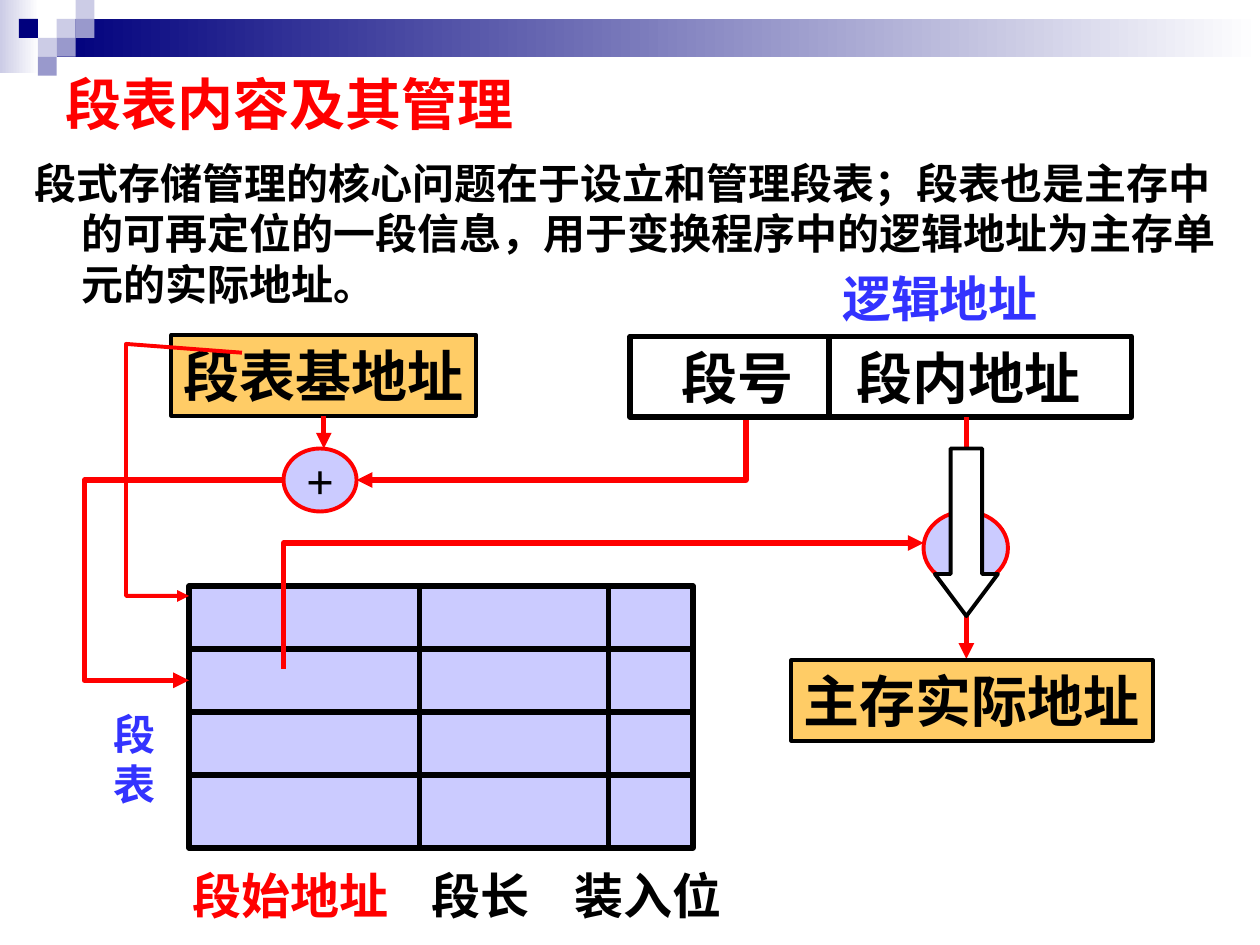
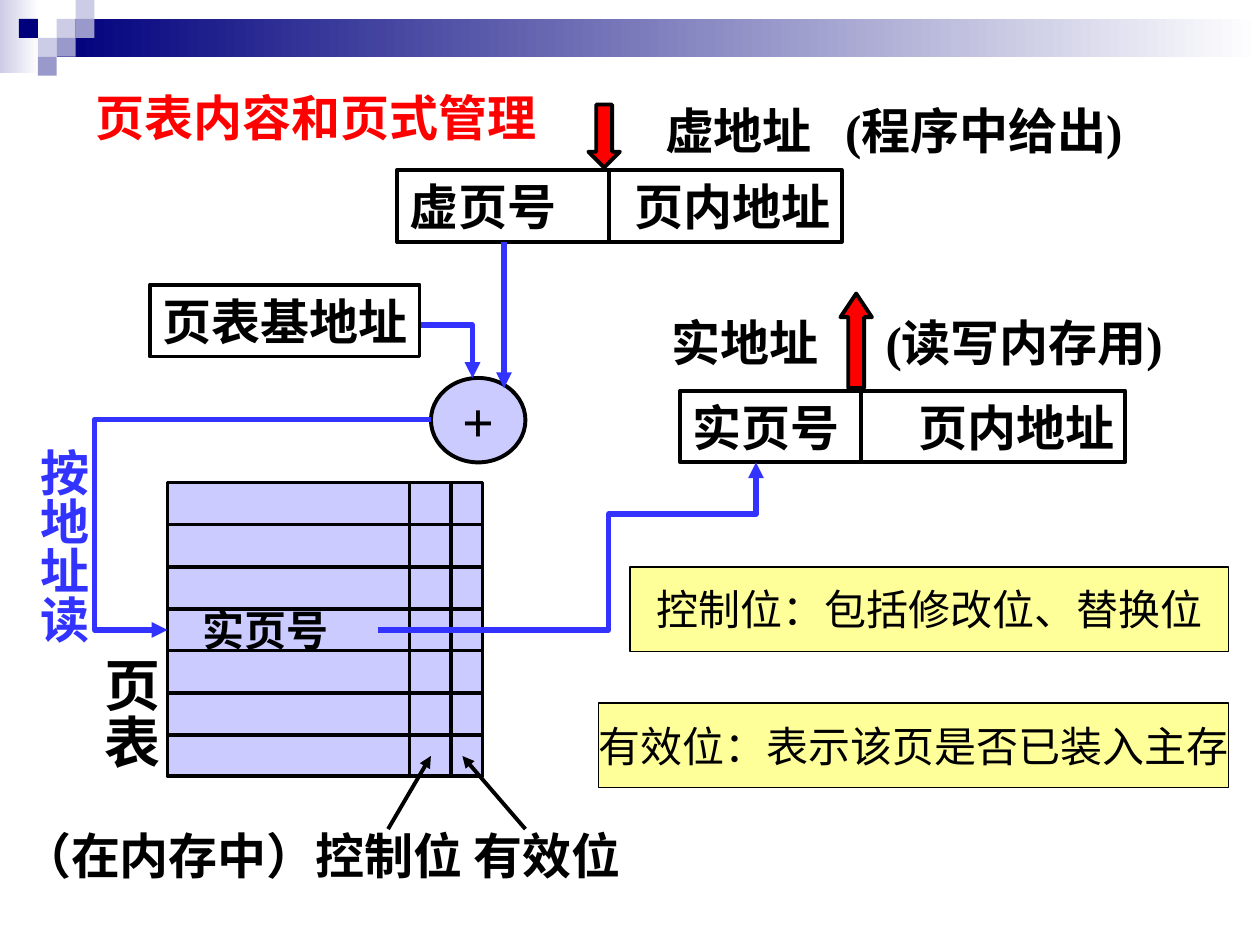
from dataclasses import dataclass
from typing import Any

from lxml.etree import SubElement
from pptx import Presentation
from pptx.dml.color import RGBColor
from pptx.enum.shapes import MSO_CONNECTOR, MSO_SHAPE
from pptx.enum.text import MSO_ANCHOR, MSO_AUTO_SIZE, PP_ALIGN
from pptx.oxml.ns import qn
from pptx.util import Inches, Pt

HUES = {
    "black": "000000", "white": "FFFFFF", "red": "FF0000", "blue": "3333FF",
    "navy": "00007D", "pale": "CCCCE6", "mid": "9999CC", "lilac": "9999FF",
    "gold": "FFCC66", "lemon": "FFFF99",
}
SERIF, SANS = "Times New Roman", "Arial"


def hue(name):
    """Return the colour of that name."""
    return RGBColor.from_string(HUES[name])


def ink(run, size, color="black", bold=True, face=SERIF):
    """Format one run."""
    run.font.size, run.font.bold, run.font.name = Pt(size), bold, face
    run.font.color.rgb = hue(color)


def write(shape, text, size, color="black", bold=True, face=SERIF,
          tab=(), align=PP_ALIGN.CENTER, wrap=False, inset=0.1):
    """Fill a shape with text, set at tab stops if any are given."""
    frame = shape.text_frame
    frame.text = text
    frame.auto_size = MSO_AUTO_SIZE.NONE
    frame.word_wrap = wrap or bool(tab)
    frame.vertical_anchor = MSO_ANCHOR.MIDDLE
    frame.margin_left = Inches(inset)
    for para in frame.paragraphs:
        para.alignment = PP_ALIGN.LEFT if tab else align
        for run in para.runs:
            ink(run, size, color, bold, face)
    if tab:
        frame.margin_right = 0
        props = shape.element.find(".//" + qn("a:p")).get_or_add_pPr()
        stops = SubElement(props, qn("a:tabLst"))
        for stop in tab:
            SubElement(stops, qn("a:tab"), pos=str(Inches(stop)), algn="l")


def stroke(shape, color, width, arrow=False):
    """Set the line of a shape, with an arrowhead at its end if asked."""
    shape.line.color.rgb = hue(color)
    shape.line.width = Pt(width)
    if arrow:
        SubElement(shape.element.find(".//" + qn("a:ln")), qn("a:tailEnd"), type="triangle")


@dataclass
class Pen:
    """Draws on shapes, in inches from the corner x, y."""

    shapes: Any
    x: float = 0
    y: float = 0

    def at(self, x, y):
        """Return a pen with its corner moved."""
        return Pen(self.shapes, self.x + x, self.y + y)

    def spot(self, x, y):
        """Turn a point into slide lengths."""
        return Inches(self.x + x), Inches(self.y + y)

    def shape(self, kind, x, y, w, h, fill=None, line=None, width=2.25, clear=False):
        """Add a preset shape."""
        item = self.shapes.add_shape(kind, *self.spot(x, y), Inches(w), Inches(h))
        item.shadow.inherit = False
        if fill:
            item.fill.solid()
            item.fill.fore_color.rgb = hue(fill)
        else:
            item.fill.background()
        if clear:
            SubElement(item.element.find(".//" + qn("a:srgbClr")), qn("a:alpha"), val="50000")
        if line:
            stroke(item, line, width)
        else:
            item.line.fill.background()
        return item

    def box(self, x, y, w, h, **look):
        """Add a rectangle."""
        return self.shape(MSO_SHAPE.RECTANGLE, x, y, w, h, **look)

    def label(self, x, y, w, h, text, size=28, color="black", **look):
        """Add a text box."""
        item = self.shapes.add_textbox(*self.spot(x, y), Inches(w), Inches(h))
        write(item, text, size, color, **look)
        return item

    def tall(self, x, y, w, h, text, size, color="black"):
        """Add a text box that reads downwards."""
        item = self.label(x, y, w, h, text, size, color)
        item.element.find(".//" + qn("a:bodyPr")).set("vert", "eaVert")
        frame = item.text_frame
        frame.margin_left = frame.margin_right = Inches(0.05)
        frame.margin_top = frame.margin_bottom = Inches(0.1)

    def line(self, x, y, x2, y2, color="black", width=2.25, arrow=False):
        """Add a straight connector."""
        item = self.shapes.add_connector(
            MSO_CONNECTOR.STRAIGHT, *self.spot(x, y), *self.spot(x2, y2))
        stroke(item, color, width, arrow)
        SubElement(item.element.find(qn("p:spPr")), qn("a:effectLst"))
        return item

    def route(self, points, color, width=3):
        """Add a bent arrow through the points."""
        first, *rest = [self.spot(*point) for point in points]
        path = self.shapes.build_freeform(*first)
        path.add_line_segments(rest, close=False)
        item = path.convert_to_shape()
        item.shadow.inherit = False
        item.fill.background()
        stroke(item, color, width, arrow=True)

    def sum(self, w, h, line, size=None):
        """Add an adder circle, with a plus sign if a size is given."""
        item = self.shape(MSO_SHAPE.OVAL, 0, 0, w, h, fill="lilac", line=line, clear=True)
        if size:
            write(item, "+", size)

    def block(self, kind, x, y, w, h, fill, head):
        """Add a block arrow with the given head length."""
        item = self.shape(kind, x, y, w, h, fill=fill, line="black")
        item.adjustments[0], item.adjustments[1] = 0.5, head

    def grid(self, w, h, rows, cols, width):
        """Add a ruled grid."""
        self.box(0, 0, w, h, fill="lilac", line="black", width=width, clear=True)
        for y in rows:
            self.line(0, y, w, y, width=width)
        for x in cols:
            self.line(x, 0, x, h, width=width)

    def field(self, w, h, text, split, tab, size, width, inset=0.1):
        """Add an address register cut in two."""
        item = self.box(0, 0, w, h, line="black", width=width)
        write(item, text, size, tab=[tab], inset=inset)
        self.line(split, 0, split, h, width=width)


def fade(shape, color):
    """Blend a shape from a colour to white, left to right."""
    shape.fill.gradient()
    shape.fill.gradient_angle = 0
    for stop, name in zip(shape.fill.gradient_stops, (color, "white")):
        stop.color.rgb = hue(name)


def band(deck, slide):
    """Build the top band and move it to the master."""
    group = slide.shapes.add_group_shape()
    pen = Pen(group.shapes)
    fade(pen.box(0, 0, 0.31, 0.58), "pale")
    fade(pen.box(0.45, 0.15, 9.55, 0.3), "navy")
    tiles = [(3, 1, "pale"), (4, 0, "pale"), (4, 1, "mid"), (2, 2, "pale"),
             (1, 1, "navy"), (3, 2, "mid"), (2, 3, "mid")]
    for col, row, color in tiles:
        pen.box(0.15 * col, 0.15 * row, 0.15, 0.15, fill=color)
    for num, node in enumerate(group.element.iter(qn("p:cNvPr")), 100):
        node.set("id", str(num))
    deck.slide_master.shapes.element.insert(2, group.element)


def place(shape, x, y, w, h):
    """Move a placeholder."""
    shape.left, shape.top, shape.width, shape.height = map(Inches, (x, y, w, h))


def head(slide, text, size, *area):
    """Set the slide title."""
    place(slide.shapes.title, *area)
    write(slide.shapes.title, text, size, "red", face=SANS, align=PP_ALIGN.LEFT, wrap=True)


def lead(slide, text, *area):
    """Set the body text with a hanging indent."""
    body = slide.placeholders[1]
    place(body, *area)
    write(body, text, 24, face=SANS, align=PP_ALIGN.LEFT, wrap=True)
    body.text_frame.vertical_anchor = MSO_ANCHOR.TOP
    props = body.element.find(".//" + qn("a:p")).get_or_add_pPr()
    props.set("marL", str(Inches(0.38)))
    props.set("indent", str(-Inches(0.38)))
    SubElement(props, qn("a:buNone"))
    body.text_frame.paragraphs[0].space_before = Pt(0)


def seg_table(pen):
    """Draw the segment table with its captions."""
    pen.grid(4, 2.08, [0.5 * row for row in (1, 2, 3)], [1.83, 3.33], 3)
    names = pen.label(-0.07, 1.93, 4.66, 1.04, "段始地址", 28, "red", tab=[1.9, 3.03])
    run = names.text_frame.paragraphs[0].add_run()
    run.text = "\t段长\t装入位"
    ink(run, 28)
    side = pen.box(-0.7, 0.92, 0.53, 0.9, fill="white")
    write(side, "段\n表", 24, "blue")


def seg_base(pen):
    """Draw the segment base register and its adder."""
    base = pen.box(0, 0, 2.42, 0.64, fill="gold", line="black")
    write(base, "段表基地址", 32)
    pen.at(0.89, 0.9).sum(0.58, 0.5, "red", 28)
    pen.line(1.21, 0.64, 1.21, 0.9, "red", 3, True).begin_connect(base, 2)


def seg_addr(pen):
    """Draw the logical address and its way to main memory."""
    pen.field(3.98, 0.64, "段号\t段内地址", 1.58, 1.39, 32, 3, 0.41)
    pen.label(1.42, -0.59, 2.08, 0.57, "逻辑地址", 28, "blue")
    pen.at(2.33, 1.39).sum(0.67, 0.58, "red")
    pen.line(2.67, 0.64, 2.67, 1.39, "red", 3, True)
    pen.line(2.67, 1.98, 2.67, 2.56, "red", 3, True)
    real = pen.box(1.28, 2.57, 2.87, 0.64, fill="gold", line="black")
    write(real, "主存实际地址", 32)
    pen.block(MSO_SHAPE.DOWN_ARROW, 2.42, 0.89, 0.5, 1.33, "white", 0.667)


def seg_slide(slide):
    """Build the segment table slide."""
    head(slide, "段表内容及其管理", 32, 0.42, 0.4, 8.5, 0.83)
    lead(slide, "段式存储管理的核心问题在于设立和管理段表；段表也是主存中的可再定位的一段信息，"
         "用于变换程序中的逻辑地址为主存单元的实际地址。", 0.17, 1.2, 9.63, 6.3)
    pen = Pen(slide.shapes)
    seg_table(pen.at(1.5, 4.65))
    seg_base(pen.at(1.36, 2.66))
    pen.route([(5.92, 3.31), (5.92, 3.81), (2.83, 3.81)], "red")
    pen.route([(2.25, 3.81), (0.67, 3.81), (0.67, 5.4), (1.5, 5.4)], "red")
    pen.route([(2.25, 5.31), (2.25, 4.31), (7.33, 4.31)], "red")
    pen.route([(1.92, 2.8), (1, 2.73), (1, 4.73), (1.5, 4.73)], "red", 2.25)
    seg_addr(pen.at(5, 2.67))


def page_table(pen):
    """Draw the page table with its captions."""
    pen.grid(2.5, 2.33, [row / 3 for row in range(1, 7)], [1.92, 2.25], 2.25)
    pen.label(-1.33, 2.67, 5.1, 0.57, "（在内存中）控制位 有效位", wrap=True)
    pen.tall(-0.66, 1.29, 0.73, 0.99, "页表", 32)
    pen.line(1.75, 2.75, 2.09, 2.17, arrow=True)
    pen.line(2.84, 2.75, 2.34, 2.17, arrow=True)
    pen.label(0.18, 0.92, 1.2, 0.5, "实页号", 24)


def page_addr(pen, name, part, split, gap, shift, rise):
    """Draw a page address with its name above."""
    pen.field(3.53, 0.57, part + "\t页内地址", split, 1.79, 28, 2.25)
    pen.label(shift, -rise, 4.5, 0.57, name, tab=[gap])


def page_notes(pen):
    """Draw the two notes, flush right."""
    notes = [("控制位：包括修改位、替换位", 4.75), ("有效位：表示该页是否已装入主存", 5)]
    for row, (text, w) in enumerate(notes):
        note = pen.box(5 - w, 1.08 * row, w, 0.67, fill="lemon", line="black", width=0.75)
        write(note, text, 24, bold=False)


def page_slide(slide):
    """Build the page table slide."""
    head(slide, "页表内容和页式管理", 28, 0.66, 0.5, 8.74, 0.85)
    pen = Pen(slide.shapes)
    page_table(pen.at(1.33, 3.83))
    pen.at(3.42, 3).sum(0.75, 0.67, "black", 32)
    page_addr(pen.at(3.15, 1.35), "虚地址\t(程序中给出)", "虚页号", 1.68, 1.43, 2.03, 0.6)
    page_addr(pen.at(5.4, 3.1), "实地址\t(读写内存用)", "实页号", 1.43, 1.7, -0.17, 0.67)
    pen.block(MSO_SHAPE.UP_ARROW, 6.67, 2.33, 0.25, 0.75, "red", 0.75)
    pen.block(MSO_SHAPE.DOWN_ARROW, 4.67, 0.83, 0.25, 0.5, "red", 0.5)
    pen.tall(0.17, 3.46, 0.66, 1.66, "按地址读", 28, "blue")
    pen.route([(3.33, 2.58), (3.75, 2.58), (3.75, 3)], "blue")
    pen.route([(3.42, 3.33), (0.75, 3.33), (0.75, 5), (1.33, 5)], "blue")
    pen.route([(3, 5), (4.83, 5), (4.83, 4.08), (6, 4.08), (6, 3.67)], "blue")
    pen.line(4, 1.92, 4, 3.08, "blue", 3, True)
    write(pen.box(1.19, 2.26, 2.14, 0.57, line="black"), "页表基地址", 28)
    page_notes(pen.at(4.75, 4.5))


def main():
    """Build and save the deck."""
    deck = Presentation()
    deck.slide_width, deck.slide_height = Inches(10), Inches(7.5)
    first = deck.slides.add_slide(deck.slide_layouts[1])
    band(deck, first)
    seg_slide(first)
    page_slide(deck.slides.add_slide(deck.slide_layouts[5]))
    deck.save("out.pptx")


if __name__ == "__main__":
    main()
